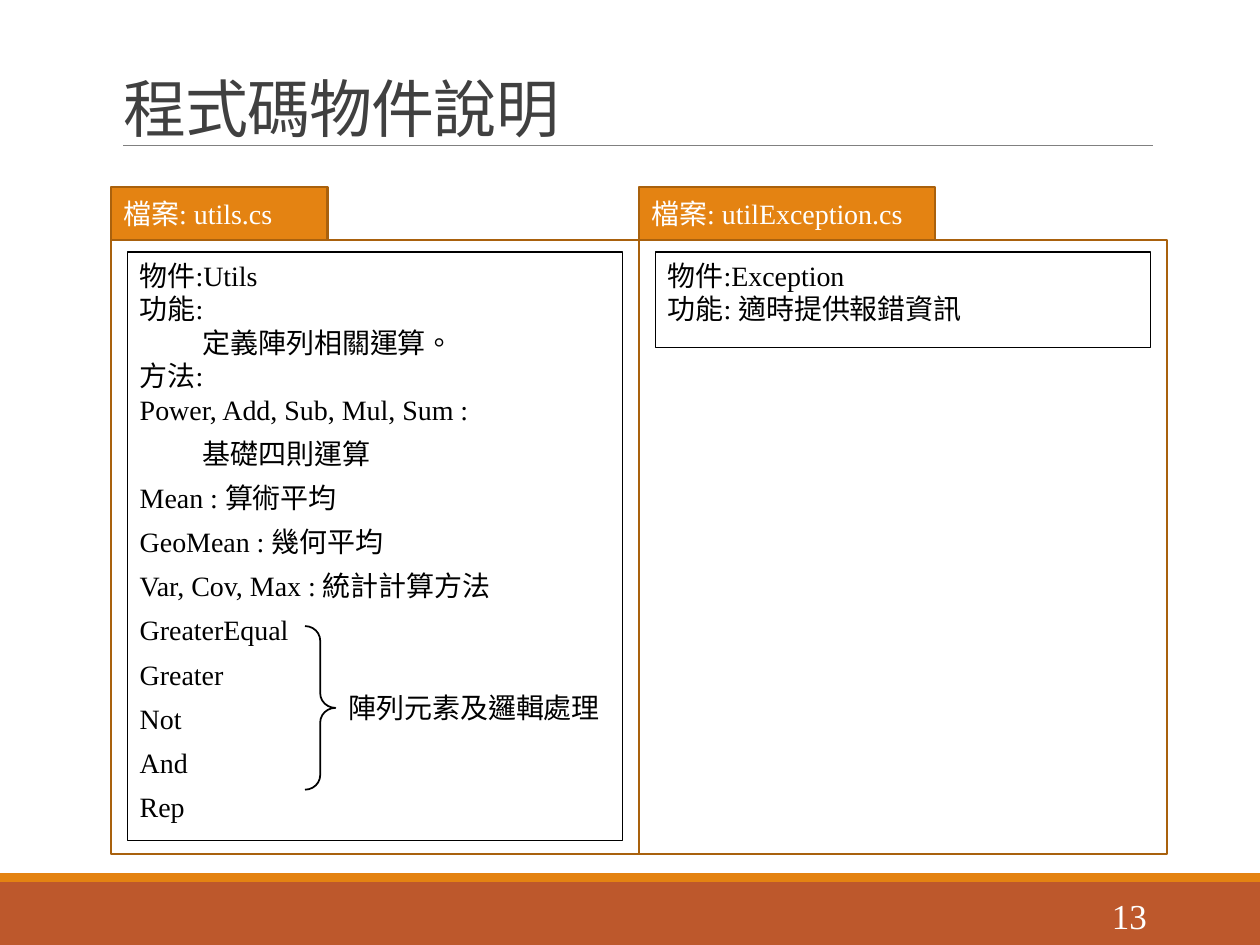
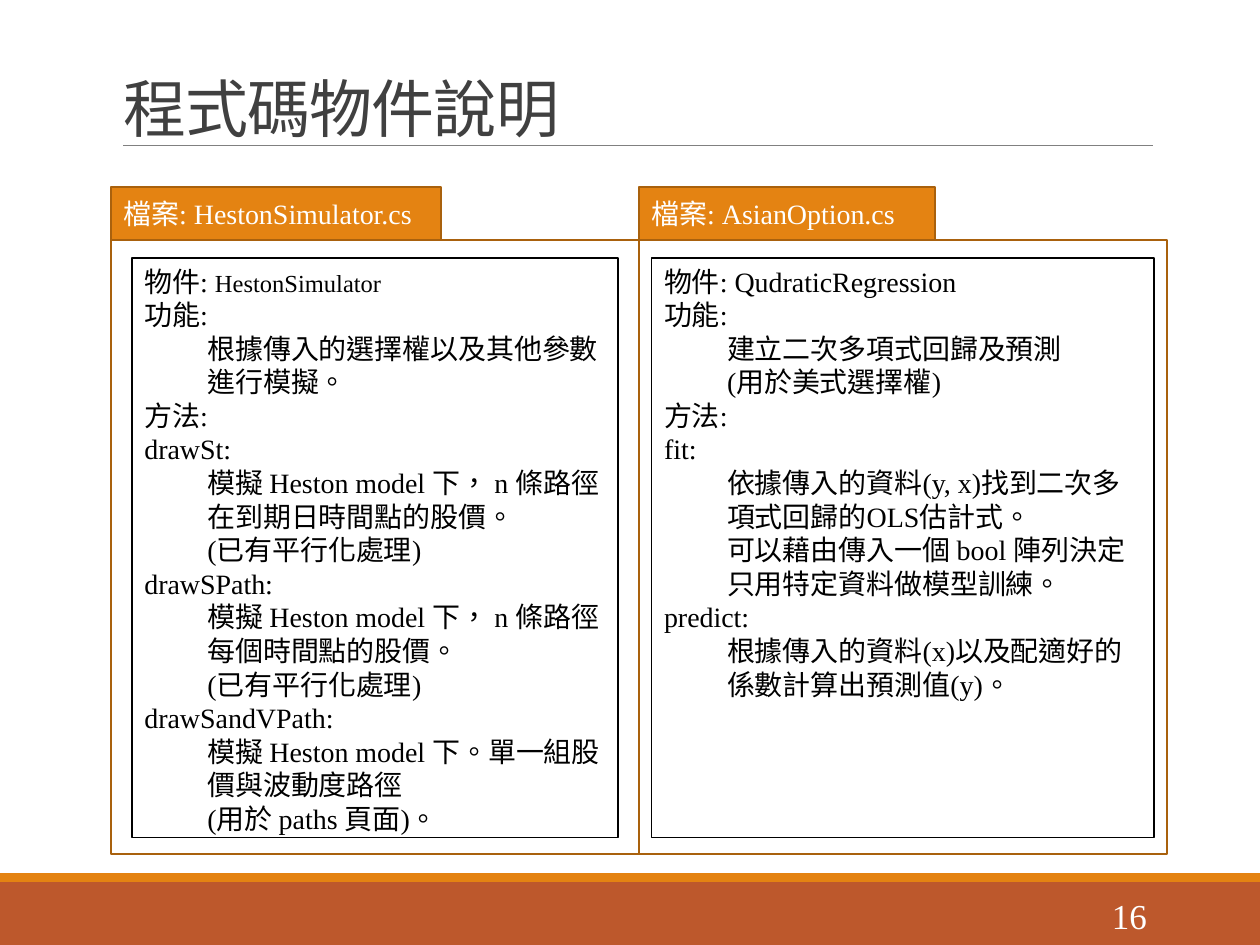
from pptx import Presentation
from pptx.dml.color import RGBColor
from pptx.enum.shapes import MSO_CONNECTOR, MSO_SHAPE
from pptx.enum.text import MSO_ANCHOR, PP_ALIGN
from pptx.oxml.ns import qn
from pptx.util import Pt
from lxml import etree

RECT, BRACE = MSO_SHAPE.RECTANGLE, MSO_SHAPE.RIGHT_BRACE
STRAIGHT = MSO_CONNECTOR.STRAIGHT
TOP, MIDDLE, BOTTOM = MSO_ANCHOR.TOP, MSO_ANCHOR.MIDDLE, MSO_ANCHOR.BOTTOM
LEFT, RIGHT = PP_ALIGN.LEFT, PP_ALIGN.RIGHT

COLORS = {
    "band": "BD582C", "accent": "E48312", "frame": "A9610D", "rule": "808080",
    "title": "404040", "text": "000000", "light": "FFFFFF",
}
LATIN, CJK = "Times New Roman", "Noto Sans CJK JP"
TITLE = "程式碼物件說明"

SLIDES = [
    {
        "number": "13", "box_top": 144,
        "files": [
            {
                "tab": "檔案: utils.cs", "tab_width": 123.8,
                "margin": 9.4, "box_height": 336.3, "spaced_from": 4,
                "object": ("物件:", "Utils", 16),
                "lines": [
                    (0, "功能:"),
                    (1, "定義陣列相關運算。"),
                    (0, "方法:"),
                    (0, "Power, Add, Sub, Mul, Sum :"),
                    (1, "基礎四則運算"),
                    (0, "Mean : 算術平均"),
                    (0, "GeoMean : 幾何平均"),
                    (0, "Var, Cov, Max : 統計計算方法"),
                    (0, "GreaterEqual"),
                    (0, "Greater"),
                    (0, "Not"),
                    (0, "And"),
                    (0, "Rep"),
                ],
            },
            {
                "tab": "檔案: utilException.cs", "tab_width": 169.2,
                "margin": 9.4, "box_height": 54.7,
                "object": ("物件:", "Exception", 16),
                "lines": [(0, "功能: 適時提供報錯資訊")],
            },
        ],
        "brace_note": "陣列元素及邏輯處理",
    },
    {
        "number": "16", "box_top": 147.4,
        "files": [
            {
                "tab": "檔案: HestonSimulator.cs", "tab_width": 188.6,
                "margin": 12, "box_height": 331.2,
                "object": ("物件: ", "HestonSimulator", 14),
                "lines": [
                    (0, "功能:"),
                    (1, "根據傳入的選擇權以及其他參數進行模擬。"),
                    (0, "方法:"),
                    (0, "drawSt:"),
                    (1, "模擬 Heston model 下， n 條路徑在到期日時間點的股價。"),
                    (1, "(已有平行化處理)"),
                    (0, "drawSPath:"),
                    (1, "模擬 Heston model 下， n 條路徑每個時間點的股價。"),
                    (1, "(已有平行化處理)"),
                    (0, "drawSandVPath:"),
                    (1, "模擬 Heston model 下。單一組股價與波動度路徑"),
                    (1, "(用於 paths 頁面)。"),
                ],
            },
            {
                "tab": "檔案: AsianOption.cs", "tab_width": 169.2,
                "margin": 7.3, "box_height": 331.2,
                "object": ("物件: ", "QudraticRegression", 16),
                "lines": [
                    (0, "功能:"),
                    (1, "建立二次多項式回歸及預測"),
                    (1, "(用於美式選擇權)"),
                    (0, "方法:"),
                    (0, "fit:"),
                    (1, "依據傳入的資料(y, x)找到二次多項式回歸的OLS估計式。"),
                    (1, "可以藉由傳入一個 bool 陣列決定只用特定資料做模型訓練。"),
                    (0, "predict:"),
                    (1, "根據傳入的資料(x)以及配適好的係數計算出預測值(y)。"),
                ],
            },
        ],
    },
]

PANEL_LEFT, PANEL_TOP, PANEL_WIDTH, PANEL_HEIGHT = 63.4, 137, 301.7, 351
TAB_HEIGHT, INDENT = 30.2, 36


def rgb(name):
    return RGBColor.from_string(COLORS[name])


def add_shape(s, kind, at, fill=None, line=None, width=1.25):
    sp = s.shapes.add_shape(kind, *map(Pt, at))
    sp.shadow.inherit = False
    if fill:
        sp.fill.solid()
        sp.fill.fore_color.rgb = rgb(fill)
    else:
        sp.fill.background()
    if line:
        sp.line.color.rgb = rgb(line)
        sp.line.width = Pt(width)
    else:
        sp.line.fill.background()
    return sp


def add_run(p, text, size=16, color="text", latin=LATIN, spacing=None):
    r = p.add_run()
    r.text = text
    for name, value in {"name": latin, "size": Pt(size)}.items():
        setattr(r.font, name, value)
    r.font.color.rgb = rgb(color)
    rPr = r.font._element
    rPr.set("lang", "zh-TW")
    if spacing:
        rPr.set("spc", str(spacing))
    ea = etree.Element(qn("a:ea"), typeface=CJK)
    rPr.find(qn("a:latin")).addnext(ea)


def set_frame(sp, anchor):
    tf = sp.text_frame
    for name, value in {"word_wrap": True, "vertical_anchor": anchor}.items():
        setattr(tf, name, value)
    return tf


def write(sp, text, anchor=TOP, align=LEFT, line_spacing=1.0, **font):
    p = set_frame(sp, anchor).paragraphs[0]
    for name, value in {"alignment": align, "line_spacing": line_spacing}.items():
        setattr(p, name, value)
    add_run(p, text, **font)


def add_text(s, at, text, **style):
    write(s.shapes.add_textbox(*map(Pt, at)), text, **style)


def add_base(s, number):
    add_shape(s, RECT, (0, 504, 720, 36), "band")
    add_shape(s, RECT, (0, 499, 720, 5), "accent")
    rule = s.shapes.add_connector(STRAIGHT, Pt(70.3), Pt(83.3), Pt(658.8), Pt(83.3))
    rule.line.color.rgb = rgb("rule")
    rule.line.width = Pt(0.5)
    etree.SubElement(rule._element.spPr, qn("a:effectLst"))
    add_text(s, (63.4, 31, 594, 55.4), TITLE, anchor=BOTTOM, line_spacing=0.85,
             size=36, color="title", spacing=-50)
    add_text(s, (584.6, 508.5, 77.8, 28.8), number, anchor=MIDDLE, align=RIGHT,
             size=20, color="light")


def add_file(s, column, box_top, file):
    left = PANEL_LEFT + column * PANEL_WIDTH
    add_shape(s, RECT, (left, PANEL_TOP, PANEL_WIDTH, PANEL_HEIGHT), line="frame")
    tab = add_shape(s, RECT, (left, PANEL_TOP - TAB_HEIGHT, file["tab_width"], TAB_HEIGHT),
                    "accent", "frame")
    write(tab, file["tab"], anchor=MIDDLE, color="light")

    margin = file["margin"]
    box = add_shape(s, RECT, (left + margin, box_top, PANEL_WIDTH - 2 * margin,
                              file["box_height"]), line="text", width=0.75)
    tf = set_frame(box, TOP)
    label, name, size = file["object"]
    p = tf.paragraphs[0]
    p.alignment = LEFT
    add_run(p, label)
    add_run(p, name, size)
    spaced_from = file.get("spaced_from", len(file["lines"]) + 1)
    for i, (level, text) in enumerate(file["lines"], 1):
        p = tf.add_paragraph()
        p.alignment = LEFT
        p._p.get_or_add_pPr().set("marL", str(Pt(level * INDENT)))
        if i >= spaced_from:
            p.space_after = Pt(6)
        add_run(p, text)


def add_brace(s, note):
    brace = add_shape(s, BRACE, (174.3, 357.8, 17.4, 93.5), line="text", width=1)
    brace.adjustments[0] = 0.48
    add_text(s, (192.2, 391, 166.5, 26.6), note, latin=CJK)


def main():
    prs = Presentation()
    prs.slide_width, prs.slide_height = Pt(720), Pt(540)
    for content in SLIDES:
        s = prs.slides.add_slide(prs.slide_layouts[6])
        add_base(s, content["number"])
        for column, file in enumerate(content["files"]):
            add_file(s, column, content["box_top"], file)
        if "brace_note" in content:
            add_brace(s, content["brace_note"])
    prs.save("out.pptx")


if __name__ == "__main__":
    main()
